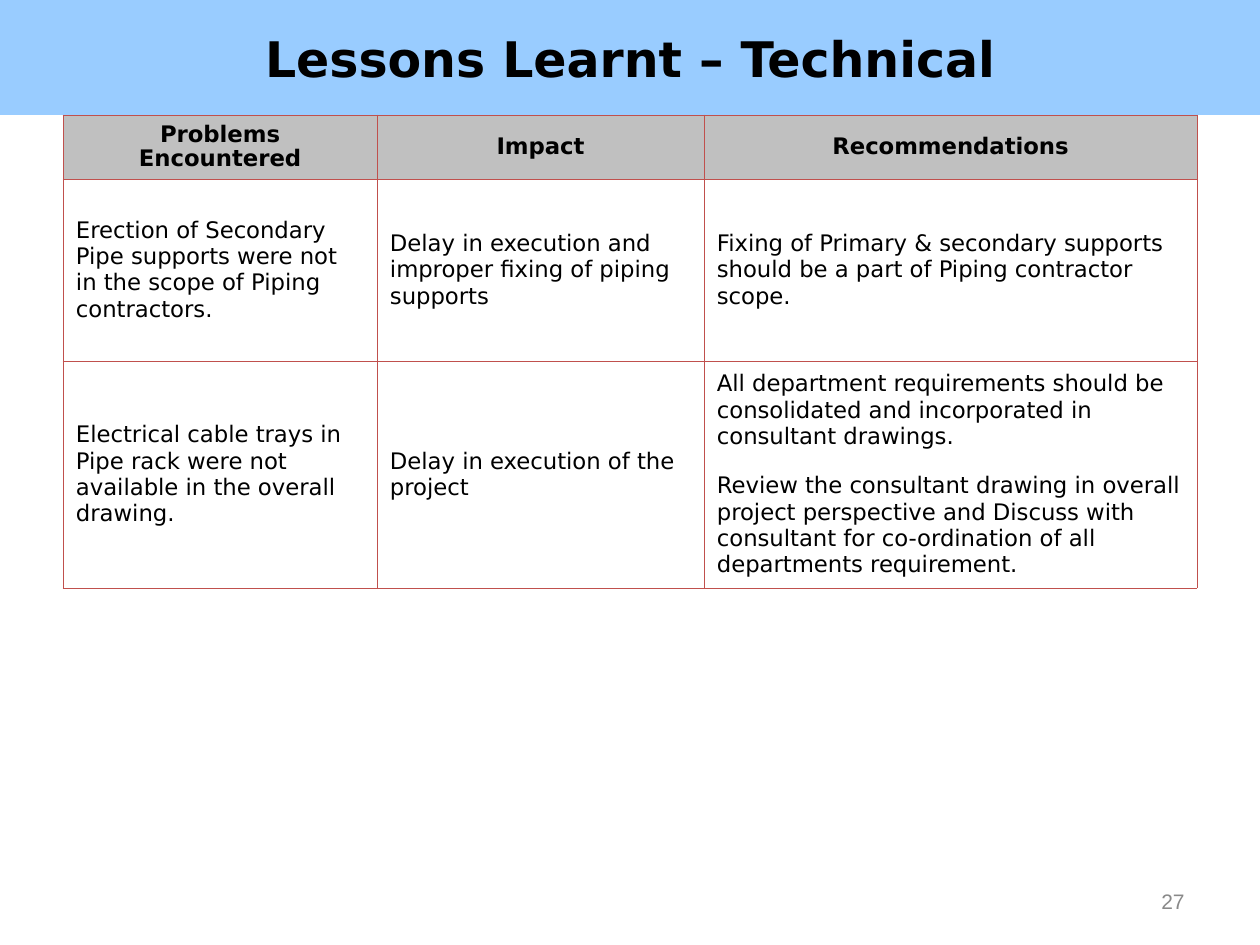
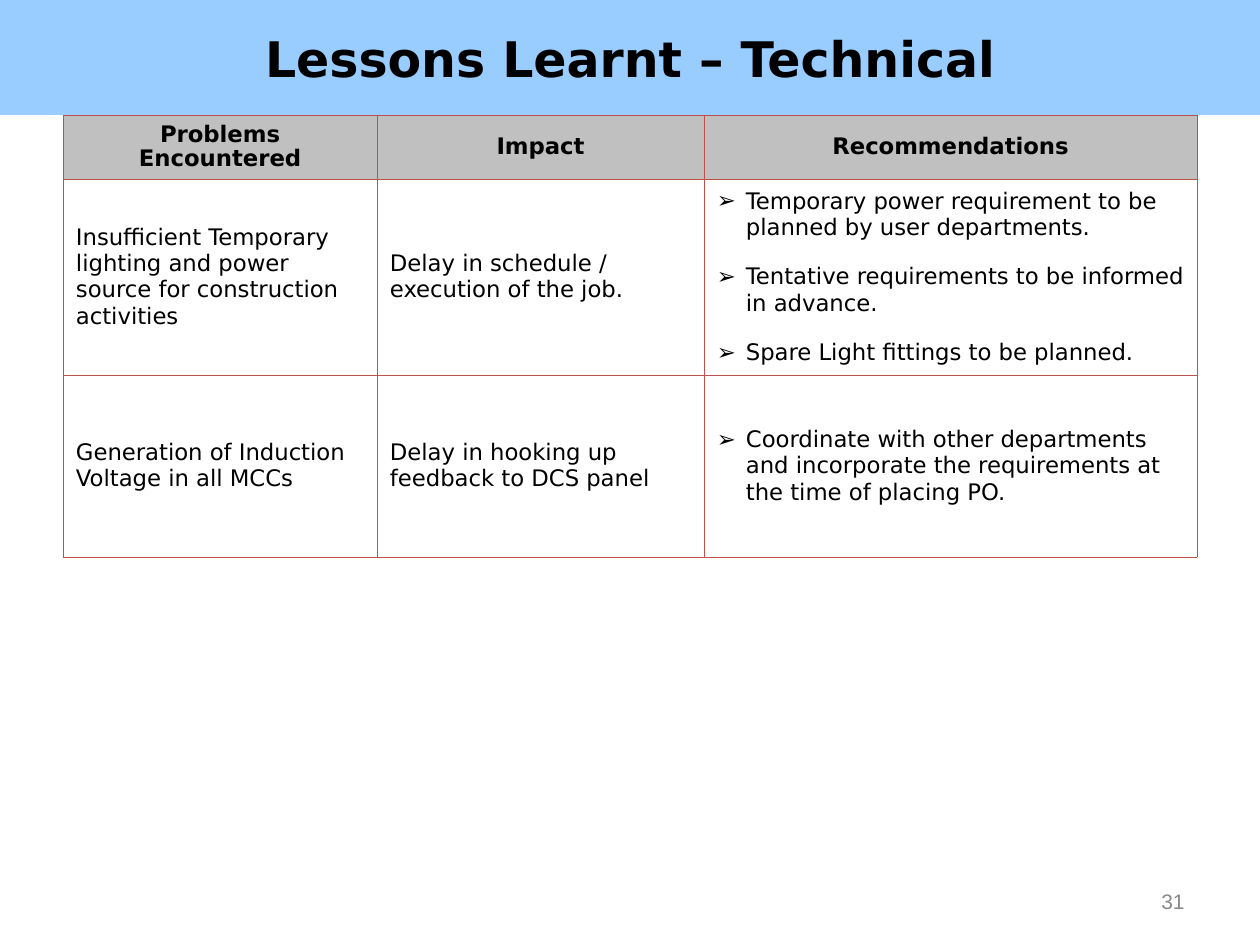
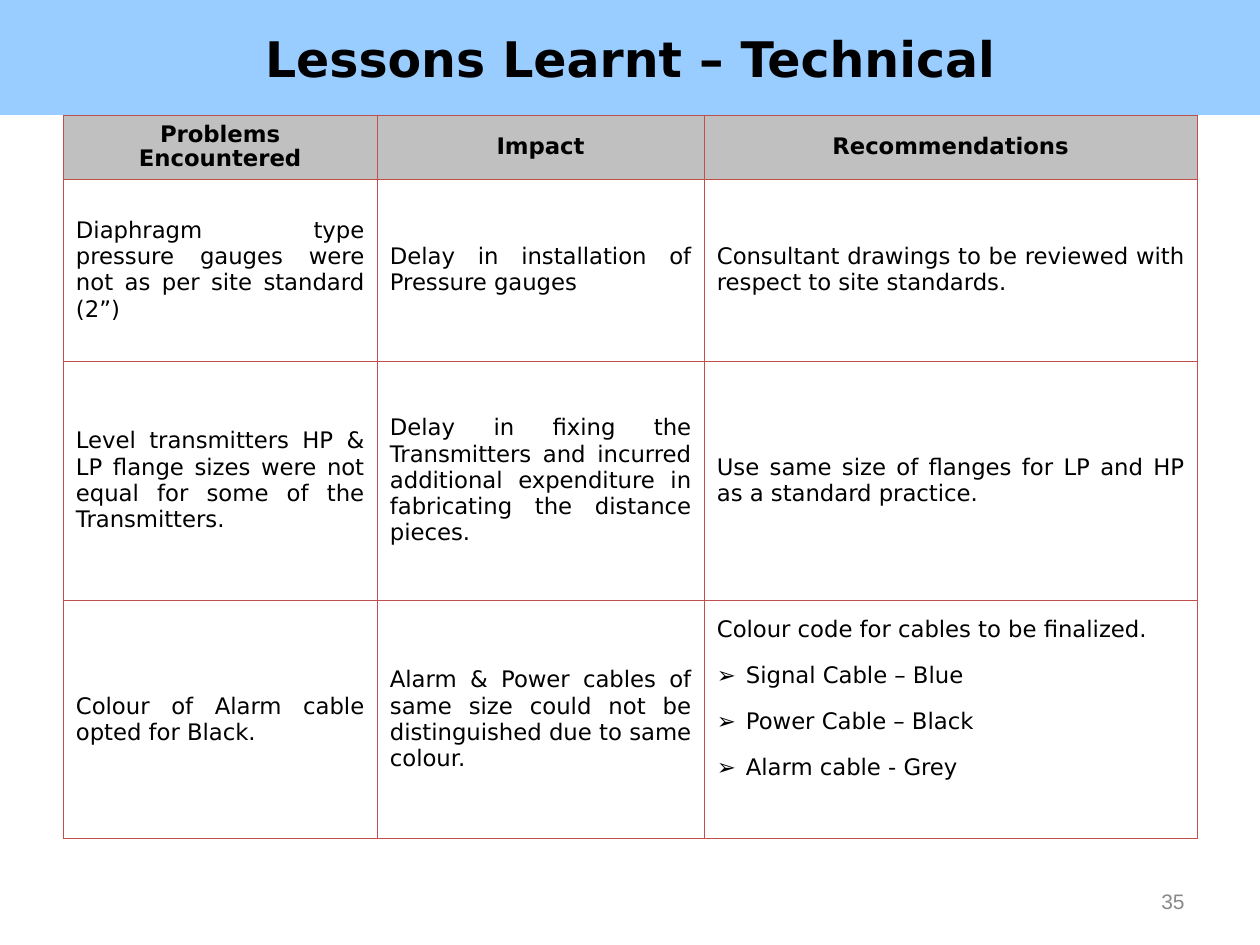
import dataclasses

import pptx
import pptx.dml.color
import pptx.enum.shapes
import pptx.enum.text
import pptx.oxml
import pptx.oxml.ns
import pptx.util
from lxml import etree

RGB = pptx.dml.color.RGBColor
ALIGN = pptx.enum.text.PP_ALIGN
MIDDLE = pptx.enum.text.MSO_ANCHOR.MIDDLE
Pt = pptx.util.Pt

# Shared look
SKY = RGB(0x99, 0xCC, 0xFF)
SILVER = RGB(0xC0, 0xC0, 0xC0)
BLACK = RGB(0, 0, 0)
GREY = RGB(0x89, 0x89, 0x89)
RED = RGB(0xC0, 0x50, 0x4D)
SANS = "DejaVu Sans"
TITLE = "Lessons Learnt – Technical"
HEADS = ["Problems Encountered", "Impact", "Recommendations"]

# Lengths in px, 126 to the inch
WIDE, HIGH = 1260, 945
BAND = 115
LEFT = 63
COLS = [314, 327, 493]
HEAD = 64
PAD_X, PAD_Y = 13, 6
HANG = 29
MARK = "➢"


@dataclasses.dataclass
class Cell:
    lines: list
    after: float = 10
    foot: int = PAD_Y


@dataclasses.dataclass
class Page:
    number: int
    heights: list
    rows: list
    align: int = ALIGN.LEFT


PAGES = [
    Page(27, [182, 227], [
        ["Erection of Secondary Pipe supports were not in the scope of Piping contractors.",
         "Delay in execution and improper fixing of piping supports",
         "Fixing of Primary & secondary supports should be a part of Piping contractor scope."],
        ["Electrical cable trays in Pipe rack were not available in the overall drawing.",
         "Delay in execution of the project",
         Cell(["All department requirements should be consolidated and incorporated in "
               "consultant drawings.",
               "Review the consultant drawing in overall project perspective and Discuss with "
               "consultant for co-ordination of all departments requirement."])],
    ]),
    Page(31, [196, 182], [
        ["Insufficient Temporary lighting and power source for construction activities",
         "Delay in schedule / execution of the job.",
         Cell(["➢ Temporary power requirement to be planned by user departments.",
               "➢ Tentative requirements to be informed in advance.",
               "➢ Spare Light fittings to be planned."])],
        ["Generation of Induction Voltage in all MCCs",
         "Delay in hooking up feedback to DCS panel",
         "➢ Coordinate with other departments and incorporate the requirements at the time "
         "of placing PO."],
    ]),
    Page(35, [182, 239, 239], [
        ["Diaphragm type pressure gauges were not as per site standard (2”)",
         "Delay in installation of Pressure gauges",
         "Consultant drawings to be reviewed with respect to site standards."],
        ["Level transmitters HP & LP flange sizes were not equal for some of the Transmitters.",
         "Delay in fixing the Transmitters and incurred additional expenditure in fabricating "
         "the distance pieces.",
         "Use same size of flanges for LP and HP as a standard practice."],
        ["Colour of Alarm cable opted for Black.",
         "Alarm & Power cables of same size could not be distinguished due to same colour.",
         Cell(["Colour code for cables to be finalized.", "➢ Signal Cable – Blue",
               "➢ Power Cable – Black", "➢ Alarm cable - Grey"], after=8, foot=47)],
    ], ALIGN.JUSTIFY),
]


def px(size):
    return round(size * 914400 / 126)


def style(para, size, color=BLACK, bold=False, name=SANS):
    for run in para.runs:
        font = run.font
        font.size, font.bold, font.name = Pt(size), bold, name
        font.color.rgb = color


def bullet(para):
    props = para._p.get_or_add_pPr()
    props.set("marL", str(px(HANG)))
    props.set("indent", str(-px(HANG)))
    tint = etree.SubElement(props, pptx.oxml.ns.qn("a:buClr"))
    etree.SubElement(tint, pptx.oxml.ns.qn("a:srgbClr"), val=str(BLACK))
    etree.SubElement(props, pptx.oxml.ns.qn("a:buFont"), typeface=SANS)
    etree.SubElement(props, pptx.oxml.ns.qn("a:buChar"), char=MARK)


def border(cell):
    props = cell._tc.get_or_add_tcPr()
    for side in "LRTB":
        props.append(pptx.oxml.parse_xml(
            f'<a:ln{side} {pptx.oxml.ns.nsdecls("a")} w="{Pt(0.45)}">'
            f'<a:solidFill><a:srgbClr val="{RED}"/></a:solidFill></a:ln{side}>'))


def frame(cell, foot=PAD_Y):
    cell.vertical_anchor = MIDDLE
    cell.margin_left = cell.margin_right = px(PAD_X)
    cell.margin_top, cell.margin_bottom = px(PAD_Y), px(foot)
    border(cell)


def fill_head(cell, text):
    frame(cell)
    cell.fill.solid()
    cell.fill.fore_color.rgb = SILVER
    para = cell.text_frame.paragraphs[0]
    para.text = text
    para.alignment = ALIGN.CENTER
    para.line_spacing = 0.93
    style(para, 13, bold=True)


def fill_body(cell, item, align):
    if isinstance(item, str):
        item = Cell([item])
    frame(cell, item.foot)
    cell.fill.background()
    cell.text_frame.text = "\n".join(line.removeprefix(MARK + " ") for line in item.lines)
    for i, (para, line) in enumerate(zip(cell.text_frame.paragraphs, item.lines)):
        para.alignment = align
        if i:
            para.space_before = Pt(3.3)
        para.space_after = Pt(item.after)
        if line.startswith(MARK):
            bullet(para)
        style(para, 13)


def add_title(slide):
    band = slide.shapes.add_shape(
        pptx.enum.shapes.MSO_SHAPE.RECTANGLE, 0, 0, px(WIDE), px(BAND))
    band.shadow.inherit = False
    band.fill.solid()
    band.fill.fore_color.rgb = SKY
    band.line.fill.background()
    band.text_frame.text = TITLE
    band.text_frame.vertical_anchor = MIDDLE
    para = band.text_frame.paragraphs[0]
    para.alignment = ALIGN.CENTER
    style(para, 28, bold=True)


def add_grid(slide, page):
    heights = [HEAD] + page.heights
    grid = slide.shapes.add_table(len(heights), len(COLS), px(LEFT), px(BAND),
                                  px(sum(COLS)), px(sum(heights))).table
    grid.first_row = grid.horz_banding = False
    for col, width in zip(grid.columns, COLS):
        col.width = px(width)
    for row, height in zip(grid.rows, heights):
        row.height = px(height)
    for c, text in enumerate(HEADS):
        fill_head(grid.cell(0, c), text)
    for r, row in enumerate(page.rows, 1):
        for c, item in enumerate(row):
            fill_body(grid.cell(r, c), item, page.align)


def add_number(slide, number):
    box = slide.shapes.add_textbox(px(903), px(876), px(294), px(50))
    text = box.text_frame
    text.word_wrap = True
    text.vertical_anchor = MIDDLE
    text.text = str(number)
    text.paragraphs[0].alignment = ALIGN.RIGHT
    style(text.paragraphs[0], 12, GREY, name="Arial")


def main():
    deck = pptx.Presentation()
    deck.slide_width, deck.slide_height = px(WIDE), px(HIGH)
    for page in PAGES:
        slide = deck.slides.add_slide(deck.slide_layouts[6])
        add_title(slide)
        add_grid(slide, page)
        add_number(slide, page.number)
    deck.save("out.pptx")


if __name__ == "__main__":
    main()
